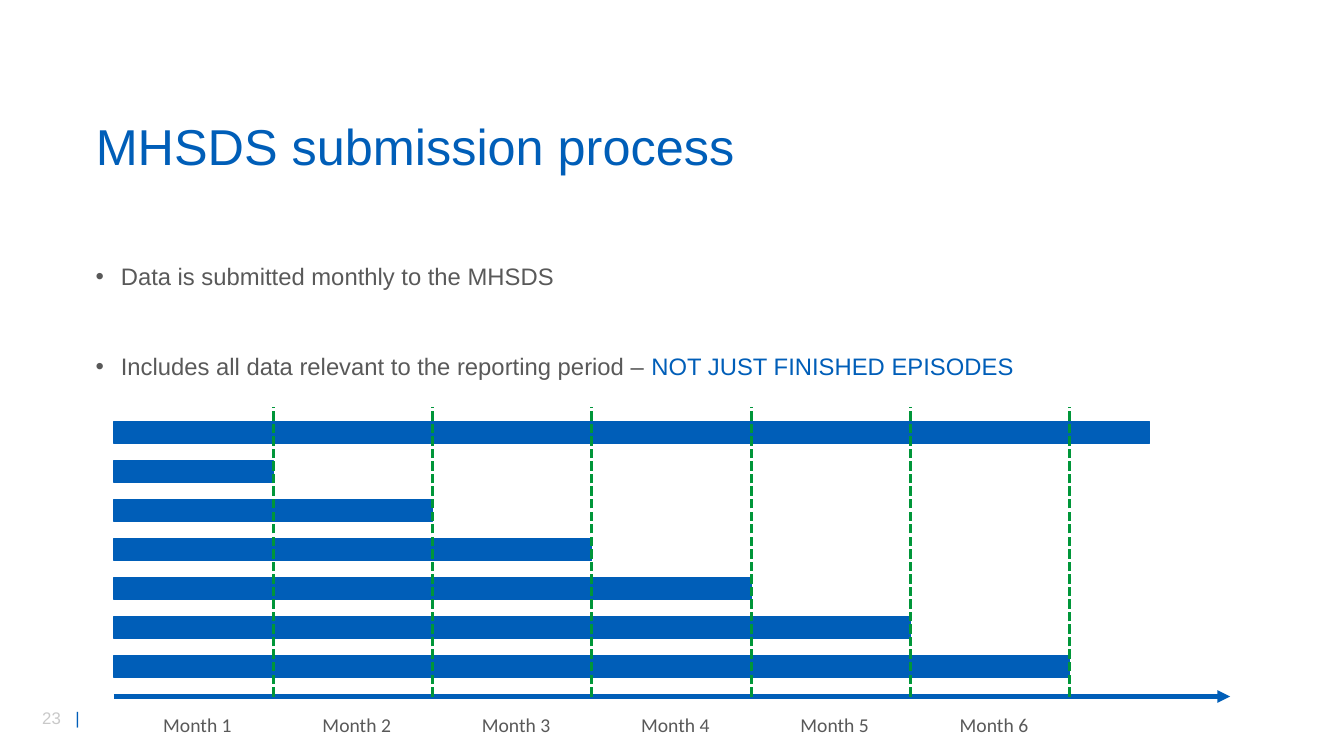
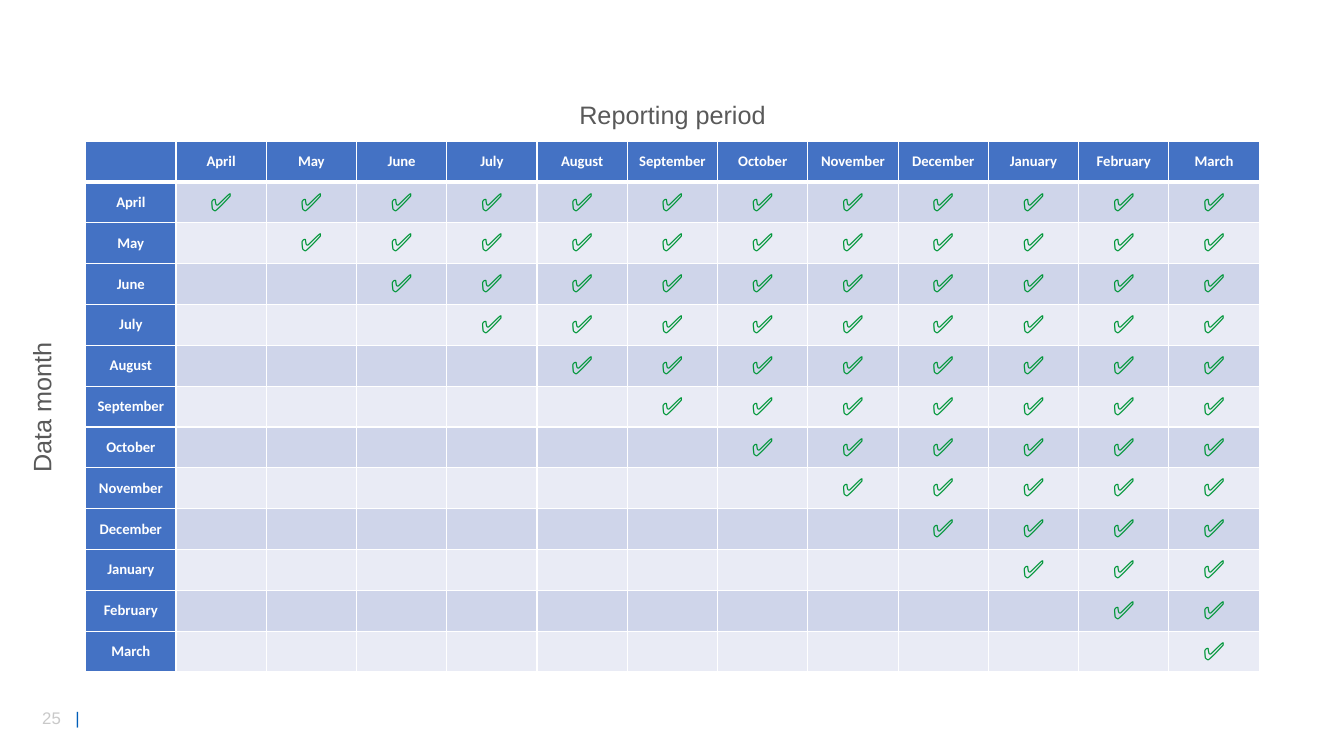
from lxml import etree
from pptx import Presentation
from pptx.dml.color import RGBColor
from pptx.enum.dml import MSO_LINE
from pptx.enum.shapes import MSO_CONNECTOR, MSO_SHAPE
from pptx.enum.text import MSO_ANCHOR, PP_ALIGN
from pptx.oxml.ns import qn
from pptx.util import Inches, Pt

LEFT, CENTER = PP_ALIGN.LEFT, PP_ALIGN.CENTER
TOP, MIDDLE = MSO_ANCHOR.TOP, MSO_ANCHOR.MIDDLE
TITLE_ONLY, BLANK = 5, 6

BLUE, GREEN, GREY, PALE = "005EB8", "009639", "595959", "C9C9C9"
WHITE, HEAD, BANDS = "FFFFFF", "4472C4", ("CFD5EA", "E9EBF5")
HEADING_FONT, LABEL_FONT = "Arial", "Calibri"

# Content
TITLE = "MHSDS submission process"
BULLETS = [
    [("Data is submitted monthly to the MHSDS", GREY)],
    [("Includes all data relevant to the reporting period – ", GREY),
     ("NOT JUST FINISHED EPISODES", BLUE)],
]
EPISODE_MONTHS = [6.5, 1, 2, 3, 4, 5, 6]
MONTH_COUNT = 6
MONTHS = ["April", "May", "June", "July", "August", "September", "October",
          "November", "December", "January", "February", "March"]
TICK = "✅"

# Grid, in inches
MARGIN, CONTENT_W = 0.85, 11.64
AXIS_X, AXIS_Y, AXIS_END = 1.13, 6.91, 12.2
MONTH_W = 1.58
BAR_TOP, BAR_PITCH, BAR_H = 4.18, 0.387, 0.22
MARKER_TOP = 4.04
TABLE_TOP, TABLE_H = 1.4, 5.27


def rgb(code):
    return RGBColor.from_string(code)


def box(*lengths):
    return [Inches(n) for n in lengths]


def add_run(p, text, size, color, font=HEADING_FONT, bold=False):
    r = p.add_run()
    r.text = text
    r.font.size, r.font.name, r.font.bold = Pt(size), font, bold
    r.font.color.rgb = rgb(color)


def add_text(slide, at, runs, size, font=HEADING_FONT, align=LEFT,
             anchor=TOP, wrap=True, spacing=None):
    """Add a one-paragraph text box from (text, colour) runs."""
    sp = slide.shapes.add_textbox(*box(*at))
    tf = sp.text_frame
    tf.word_wrap, tf.vertical_anchor = wrap, anchor
    p = tf.paragraphs[0]
    p.alignment, p.line_spacing = align, spacing
    for text, color in runs:
        add_run(p, text, size, color, font)
    return sp


def add_line(slide, start, end, color, width):
    line = slide.shapes.add_connector(
        MSO_CONNECTOR.STRAIGHT, *box(*start), *box(*end))
    line.line.color.rgb = rgb(color)
    line.line.width = Pt(width)
    etree.SubElement(line._element.spPr, qn("a:effectLst"))
    return line


def add_slide(prs, layout, number):
    """Add a slide with the shared page number and bar."""
    slide = prs.slides.add_slide(prs.slide_layouts[layout])
    sp = add_text(slide, (0.32, 6.97, 0.71, 0.3),
                  [(f"{number}\t", PALE), ("|", BLUE)], 12)
    pPr = sp.text_frame.paragraphs[0]._p.get_or_add_pPr()
    tabs = etree.SubElement(pPr, qn("a:tabLst"))
    etree.SubElement(tabs, qn("a:tab"), pos=str(Inches(0.33)), algn="l")
    return slide


def add_title(slide, text):
    title = slide.shapes.title
    title.left, title.top, title.width, title.height = box(
        MARGIN, 1.14, CONTENT_W, 0.67)
    title.text_frame.vertical_anchor = MIDDLE
    p = title.text_frame.paragraphs[0]
    p.alignment, p.line_spacing = LEFT, 0.9
    add_run(p, text, 36, BLUE)


def add_bullets(slide, bullets):
    tf = slide.shapes.add_textbox(*box(MARGIN, 2.52, CONTENT_W, 1.4)).text_frame
    tf.word_wrap = True
    for i, runs in enumerate(bullets):
        p = tf.add_paragraph() if i else tf.paragraphs[0]
        p.line_spacing = 1.1
        p.space_before = Pt(42 if i else 0)
        for text, color in runs:
            add_run(p, text, 17, color)
        pPr = p._p.get_or_add_pPr()
        pPr.set("marL", str(Inches(0.25)))
        pPr.set("indent", str(-Inches(0.25)))
        etree.SubElement(pPr, qn("a:buFont"), typeface=HEADING_FONT)
        etree.SubElement(pPr, qn("a:buChar"), char="•")


def add_timeline(slide):
    for row, months in enumerate(EPISODE_MONTHS):
        bar = slide.shapes.add_shape(MSO_SHAPE.RECTANGLE, *box(
            AXIS_X, BAR_TOP + row * BAR_PITCH, months * MONTH_W, BAR_H))
        bar.shadow.inherit = False
        bar.fill.solid()
        bar.fill.fore_color.rgb = bar.line.color.rgb = rgb(BLUE)
        bar.line.width = Pt(1)

    axis = add_line(slide, (AXIS_X, AXIS_Y), (AXIS_END, AXIS_Y), BLUE, 3)
    etree.SubElement(axis.line._get_or_add_ln(), qn("a:tailEnd"),
                     type="triangle")

    for i in range(MONTH_COUNT):
        x = AXIS_X + i * MONTH_W
        month_end = x + MONTH_W
        marker = add_line(slide, (month_end, AXIS_Y), (month_end, MARKER_TOP),
                          GREEN, 2.25)
        marker.line.dash_style = MSO_LINE.SQUARE_DOT
        add_text(slide, (x + 0.39, 7.02, 0.89, 0.34),
                 [(f"Month {i + 1}", GREY)], 14, LABEL_FONT, wrap=False)


def set_borders(cell, **widths):
    """Draw white cell borders; widths in points by side: L, R, T, B."""
    tcPr = cell._tc.get_or_add_tcPr()
    for side, width in widths.items():
        ln = etree.SubElement(tcPr, qn(f"a:ln{side}"), w=str(Pt(width)))
        fill = etree.SubElement(ln, qn("a:solidFill"))
        etree.SubElement(fill, qn("a:srgbClr"), val=WHITE)


def add_month_table(slide):
    n = len(MONTHS) + 1
    table = slide.shapes.add_table(
        n, n, *box(MARGIN, TABLE_TOP, CONTENT_W, TABLE_H)).table
    for column in table.columns:
        column.width = Inches(CONTENT_W / n)
    for row in table.rows:
        row.height = Inches(TABLE_H / n)

    for r in range(n):
        for c in range(n):
            cell = table.cell(r, c)
            heading = r == 0 or c == 0
            set_borders(cell, L=1, R=1, T=3 if r == 1 else 1,
                        B=3 if r == 0 else 1)
            cell.fill.solid()
            cell.fill.fore_color.rgb = rgb(
                HEAD if heading else BANDS[(r - 1) % 2])
            cell.vertical_anchor = MIDDLE
            p = cell.text_frame.paragraphs[0]
            p.alignment = CENTER
            if heading and r != c:
                add_run(p, MONTHS[max(r, c) - 1], 10.5, WHITE, LABEL_FONT, True)
            elif not heading and c >= r:
                add_run(p, TICK, 18, GREEN, LABEL_FONT)


def add_axis_name(slide, left, top, text, rotation=0):
    sp = add_text(slide, (left, top, 2.16, 0.5), [(text, GREY)], 18,
                  align=CENTER, anchor=MIDDLE, spacing=0.9)
    sp.rotation = rotation


def main():
    prs = Presentation()
    prs.slide_width, prs.slide_height = box(13.33, 7.5)

    process = add_slide(prs, TITLE_ONLY, 23)
    add_title(process, TITLE)
    add_bullets(process, BULLETS)
    add_timeline(process)

    periods = add_slide(prs, BLANK, 25)
    add_month_table(periods)
    add_axis_name(periods, 5.59, 0.9, "Reporting period")
    add_axis_name(periods, -0.65, 3.79, "Data month", rotation=270)

    prs.save("out.pptx")


if __name__ == "__main__":
    main()
